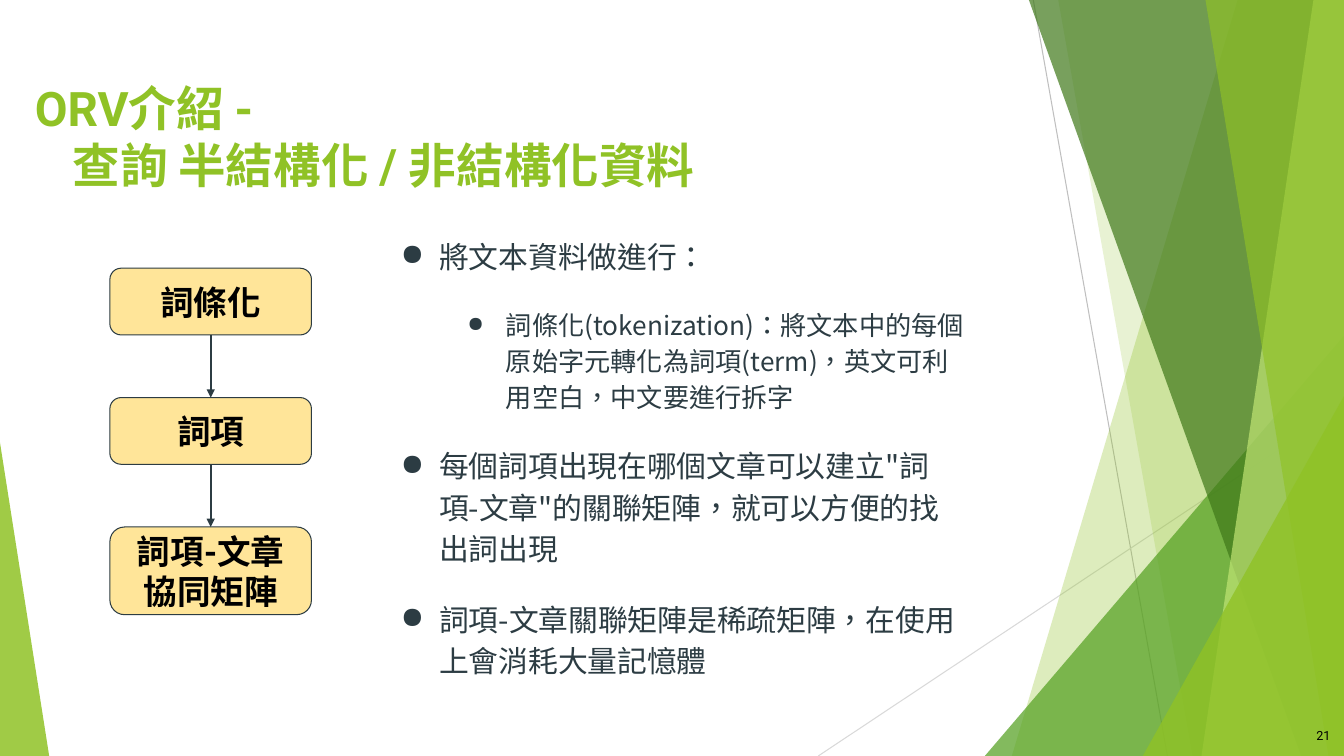
"""Build the slide on querying semi-structured and unstructured data."""
from lxml import etree
from pptx import Presentation
from pptx import util as u
from pptx.dml.color import RGBColor
from pptx.enum import lang, shapes, text
from pptx.oxml.ns import qn

WIDTH, HEIGHT = 33.87, 19.05
GREEN, INK = "90C226", "2C3C43"


def color(value):
    """Turn a hex string into a colour."""
    return RGBColor.from_string(value)


def add_child(parent, tag, **attributes):
    """Append an XML child with the given attributes."""
    child = etree.SubElement(parent, qn(tag))
    for name, value in attributes.items():
        child.set(name, str(value))
    return child


def paint(shape, fill, alpha=100, line=None):
    """Give a shape a flat fill, an opacity and an optional outline."""
    shape.shadow.inherit = False
    shape.fill.solid()
    shape.fill.fore_color.rgb = color(fill)
    if alpha < 100:
        solid = shape.fill._xPr.find(qn("a:solidFill"))
        add_child(solid[0], "a:alpha", val=alpha * 1000)
    if line:
        shape.line.color.rgb = color(line)
        shape.line.width = u.Pt(0.75)
    else:
        shape.line.fill.background()


def add_line(slide, start, end, line, width, arrow=False):
    """Draw a straight line, with an arrowhead at its end if wanted."""
    points = [u.Cm(value) for value in (*start, *end)]
    connector = slide.shapes.add_connector(shapes.MSO_CONNECTOR.STRAIGHT, *points)
    connector.line.color.rgb = color(line)
    connector.line.width = u.Pt(width)
    if arrow:
        add_child(connector.line._get_or_add_ln(), "a:tailEnd", type="triangle")
    add_child(connector._element.spPr, "a:effectLst")


def add_facet(slide, top, bottom, fill, alpha):
    """Draw a facet from a slanted left edge to the right slide edge."""
    builder = slide.shapes.build_freeform(u.Cm(top), 0, scale=1.0)
    corners = [(WIDTH, 0), (WIDTH, HEIGHT), (bottom, HEIGHT)]
    builder.add_line_segments([(u.Cm(x), u.Cm(y)) for x, y in corners], close=True)
    paint(builder.convert_to_shape(), fill, alpha)


def add_preset(slide, kind, left, top, width, height, adjustment):
    """Add a preset shape with one adjustment."""
    shape = slide.shapes.add_shape(
        kind, u.Cm(left), u.Cm(top), u.Cm(width), u.Cm(height))
    shape.adjustments[0] = adjustment
    return shape


def add_triangle(slide, left, top, apex, fill, alpha):
    """Draw a right triangle standing on the bottom slide edge."""
    width = WIDTH - left if apex else 1.24
    triangle = add_preset(slide, shapes.MSO_SHAPE.ISOSCELES_TRIANGLE,
                          left, top, width, HEIGHT - top, apex)
    paint(triangle, fill, alpha)


def add_bullet(paragraph, left, hanging, size):
    """Give a paragraph a round bullet and a hanging indent."""
    properties = paragraph._p.get_or_add_pPr()
    properties.set("marL", str(u.Cm(left)))
    properties.set("indent", str(-u.Cm(hanging)))
    add_child(add_child(properties, "a:buClr"), "a:srgbClr", val=INK)
    add_child(properties, "a:buSzPct", val=size * 1000)
    add_child(properties, "a:buChar", char="●")


def prepare_frame(shape, anchor=text.MSO_ANCHOR.TOP, inset=0.33):
    """Set wrapping, anchor and insets of a text frame and return it."""
    frame = shape.text_frame
    frame.word_wrap = True
    frame.vertical_anchor = anchor
    frame.margin_left = frame.margin_right = u.Cm(inset)
    frame.margin_top = frame.margin_bottom = u.Cm(inset)
    return frame


def add_box(slide, left, top, width, height, **layout):
    """Add a text box and return its frame."""
    box = slide.shapes.add_textbox(u.Cm(left), u.Cm(top), u.Cm(width), u.Cm(height))
    return prepare_frame(box, **layout)


def write(frame, words, size, font="Roboto", ink="000000", bold=False,
          align=text.PP_ALIGN.LEFT, indent=0, bullet=None, spacing=None, after=0):
    """Write one paragraph into a frame."""
    paragraph = frame.paragraphs[0]
    if paragraph.runs:
        paragraph = frame.add_paragraph()
    if bullet:
        add_bullet(paragraph, *bullet)
    elif indent:
        paragraph._p.get_or_add_pPr().set("marL", str(u.Cm(indent)))
    paragraph.alignment = align
    paragraph.line_spacing = spacing
    paragraph.space_after = u.Pt(after)
    run = paragraph.add_run()
    run.text = words
    run.font.name, run.font.size, run.font.bold = font, u.Pt(size), bold
    run.font.color.rgb = color(ink)
    run.font.language_id = lang.MSO_LANGUAGE_ID.TRADITIONAL_CHINESE


def add_backdrop(slide):
    """Draw the green facets and thin lines."""
    add_line(slide, (26.04, 0), (29.42, HEIGHT), "BFBFBF", 0.75)
    add_line(slide, (WIDTH, 10.24), (20.62, HEIGHT), "D9D9D9", 0.75)
    add_facet(slide, 31.19, 25.5, GREEN, 30)
    add_facet(slide, 26.67, 30.05, GREEN, 20)
    add_triangle(slide, 24.82, 8.46, 1, "54A021", 72)
    add_facet(slide, 25.93, 32.79, "3F7819", 70)
    add_facet(slide, 33.1, 30.28, "C0E474", 70)
    add_facet(slide, 30.38, 33.48, GREEN, 65)
    add_triangle(slide, 28.8, 9.98, 1, GREEN, 80)
    add_triangle(slide, 0, 11.15, 0, GREEN, 85)


def add_flow(slide, steps):
    """Draw the steps as boxes joined by downward arrows."""
    left, first, width, height, pitch = 2.77, 6.76, 5.08, 1.68, 3.26
    center = left + width / 2
    for index, lines in enumerate(steps):
        top = first + index * pitch
        box = add_preset(slide, shapes.MSO_SHAPE.ROUNDED_RECTANGLE, left, top,
                         width, height + 0.53 * (len(lines) - 1), 0.167)
        paint(box, "FFE599", line=INK)
        frame = prepare_frame(box, text.MSO_ANCHOR.MIDDLE)
        for words in lines:
            write(frame, words, 24, bold=True, align=text.PP_ALIGN.CENTER)
        if index:
            add_line(slide, (center, top - pitch + height), (center, top),
                     INK, 1.5, arrow=True)


def add_points(slide, points):
    """Write the bulleted explanation."""
    formats = [(21.3, (1.8, 0.97, 100)), (18.7, (3.48, 0.97, 80))]
    frame = add_box(slide, 8.94, 5.56, 15.72, 12.27)
    for level, words in points:
        size, bullet = formats[level]
        write(frame, words, size, font="Noto Sans CJK TC", ink=INK,
              bullet=bullet, spacing=1.15, after=21.3)


def main():
    """Build and save the slide."""
    presentation = Presentation()
    presentation.slide_width = u.Cm(WIDTH)
    presentation.slide_height = u.Cm(HEIGHT)
    slide = presentation.slides.add_slide(presentation.slide_layouts[6])
    add_backdrop(slide)
    title = add_box(slide, 0, 1.65, 32.7, 2.13)
    write(title, "ORV介紹 -", 34, ink=GREEN, bold=True, indent=0.55)
    write(title, "查詢 半結構化 / 非結構化資料", 34, ink=GREEN, bold=True, indent=1.5)
    add_points(slide, [
        (0, "將文本資料做進行："),
        (1, "詞條化(tokenization)：將文本中的每個原始字元轉化為詞項(term)，"
            "英文可利用空白，中文要進行拆字"),
        (0, "每個詞項出現在哪個文章可以建立\"詞項-文章\"的關聯矩陣，"
            "就可以方便的找出詞出現"),
        (0, "詞項-文章關聯矩陣是稀疏矩陣，在使用上會消耗大量記憶體"),
    ])
    add_flow(slide, [["詞條化"], ["詞項"], ["詞項-文章", "協同矩陣"]])
    number = add_box(slide, 32.36, 18.16, 1.42, 0.76,
                     anchor=text.MSO_ANCHOR.MIDDLE, inset=0.25)
    write(number, "21", 9, align=text.PP_ALIGN.RIGHT)
    presentation.save("out.pptx")


if __name__ == "__main__":
    main()
